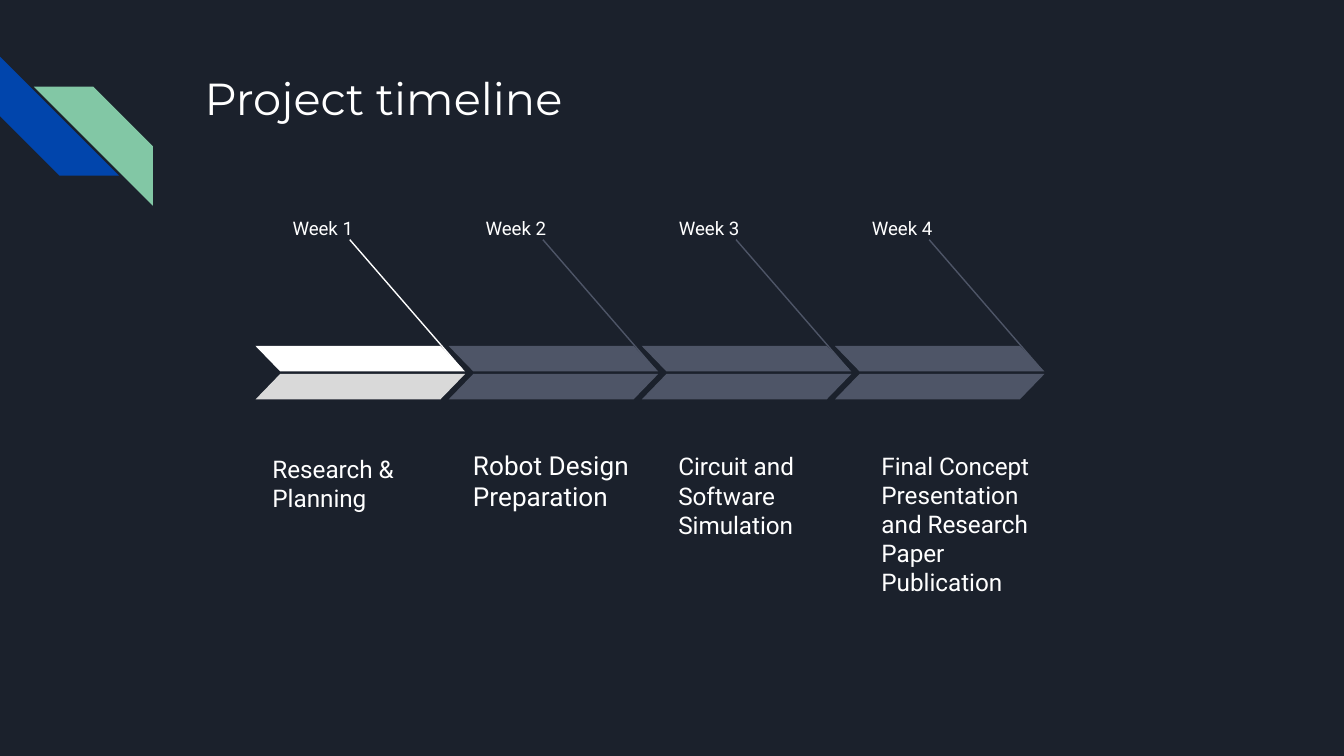
from lxml import etree
from pptx import Presentation
from pptx.dml.color import RGBColor
from pptx.enum.shapes import MSO_CONNECTOR, MSO_SHAPE
from pptx.enum.text import MSO_ANCHOR
from pptx.oxml.ns import qn
from pptx.util import Cm, Pt

STRIPE, PARALLELOGRAM = MSO_SHAPE.DIAGONAL_STRIPE, MSO_SHAPE.PARALLELOGRAM
STRAIGHT = MSO_CONNECTOR.STRAIGHT
TOP, BOTTOM = MSO_ANCHOR.TOP, MSO_ANCHOR.BOTTOM

COLORS = {
    "background": "1B212C",
    "text": "FFFFFF",
    "blue": "0145AC",
    "green": "82C7A5",
    "active": "FFFFFF",
    "active shade": "D9D9D9",
    "pending": "4E5567",
}

TITLE = "Project timeline"
# week, caption, caption size, caption left, caption top (cm), upper and lower color
STEPS = [
    ("Week 1", "Research & Planning", 13, 4.9, 8.43, "active", "active shade"),
    ("Week 2", "Robot Design Preparation", 14, 8.69, 8.43, "pending", "pending"),
    ("Week 3", "Circuit and Software Simulation", 13, 12.57, 8.94, "pending", "pending"),
    ("Week 4", "Final Concept Presentation and Research Paper Publication",
     13, 16.41, 10.03, "pending", "pending"),
]

# Timeline measures in cm
STEP_PITCH = 3.65
BAR_LEFT, BAR_TOP, BAR_WIDTH, BAR_HEIGHT = 4.83, 6.54, 3.96, 0.48
BAR_PITCH = 0.53
WEEK_LEFT, WEEK_TOP = 5.28, 3.89
LEADER_LEFT, LEADER_TOP, LEADER_WIDTH, LEADER_HEIGHT = 6.61, 4.53, 2.13, 2.46


def rgb(name):
    return RGBColor.from_string(COLORS[name])


def add_text(slide, text, left, top, width, height, size=13, font="Roboto", anchor=TOP):
    box = slide.shapes.add_textbox(Cm(left), Cm(top), Cm(width), Cm(height))
    frame = box.text_frame
    frame.word_wrap = True
    frame.vertical_anchor = anchor
    frame.margin_left = frame.margin_right = Cm(0.25)
    frame.margin_top = frame.margin_bottom = Cm(0.25)
    span = frame.paragraphs[0].add_run()
    span.text = text
    span.font.size = Pt(size)
    span.font.name = font
    span.font.color.rgb = rgb("text")


def add_band(slide, kind, left, top, width, height, color, adjustment, flip=False, rotation=0):
    band = slide.shapes.add_shape(kind, Cm(left), Cm(top), Cm(width), Cm(height))
    band.shadow.inherit = False
    band.adjustments[0] = adjustment
    band.rotation = rotation
    band.fill.solid()
    band.fill.fore_color.rgb = rgb(color)
    band.line.fill.background()
    if flip:
        band._element.spPr.xfrm.set("flipH", "1")


def add_leader(slide, left, top, color):
    """Draw the thin line from a week label down to the tip of its bar."""
    leader = slide.shapes.add_connector(
        STRAIGHT, Cm(left), Cm(top), Cm(left + LEADER_WIDTH), Cm(top + LEADER_HEIGHT))
    leader.line.color.rgb = rgb(color)
    leader.line.width = Pt(0.75)
    etree.SubElement(leader._element.spPr, qn("a:effectLst"))


def add_step(slide, index, step):
    week, caption, size, caption_left, caption_top, upper, lower = step
    shift = index * STEP_PITCH
    add_text(slide, week, WEEK_LEFT + shift, WEEK_TOP, 1.8, 0.79, size=10)
    add_text(slide, caption, caption_left, caption_top, 3.81, 1.5, size=size, anchor=BOTTOM)
    add_leader(slide, LEADER_LEFT + shift, LEADER_TOP, upper)
    for row, color in enumerate((upper, lower)):
        add_band(slide, PARALLELOGRAM, BAR_LEFT + shift, BAR_TOP + row * BAR_PITCH,
                 BAR_WIDTH, BAR_HEIGHT, color, 0.97, flip=row == 0)


def main():
    deck = Presentation()
    deck.slide_width, deck.slide_height = Cm(25.4), Cm(14.29)
    slide = deck.slides.add_slide(deck.slide_layouts[6])
    slide.background.fill.solid()
    slide.background.fill.fore_color.rgb = rgb("background")

    add_band(slide, STRIPE, 0, 1.07, 2.25, 2.25, "blue", 0.5, rotation=270)
    add_band(slide, STRIPE, 0.64, 1.64, 2.25, 2.25, "green", 0.5, flip=True)
    add_text(slide, TITLE, 3.62, 1.09, 19.56, 2.54, size=24, font="Montserrat")
    for index, step in enumerate(STEPS):
        add_step(slide, index, step)

    deck.save("out.pptx")


if __name__ == "__main__":
    main()
